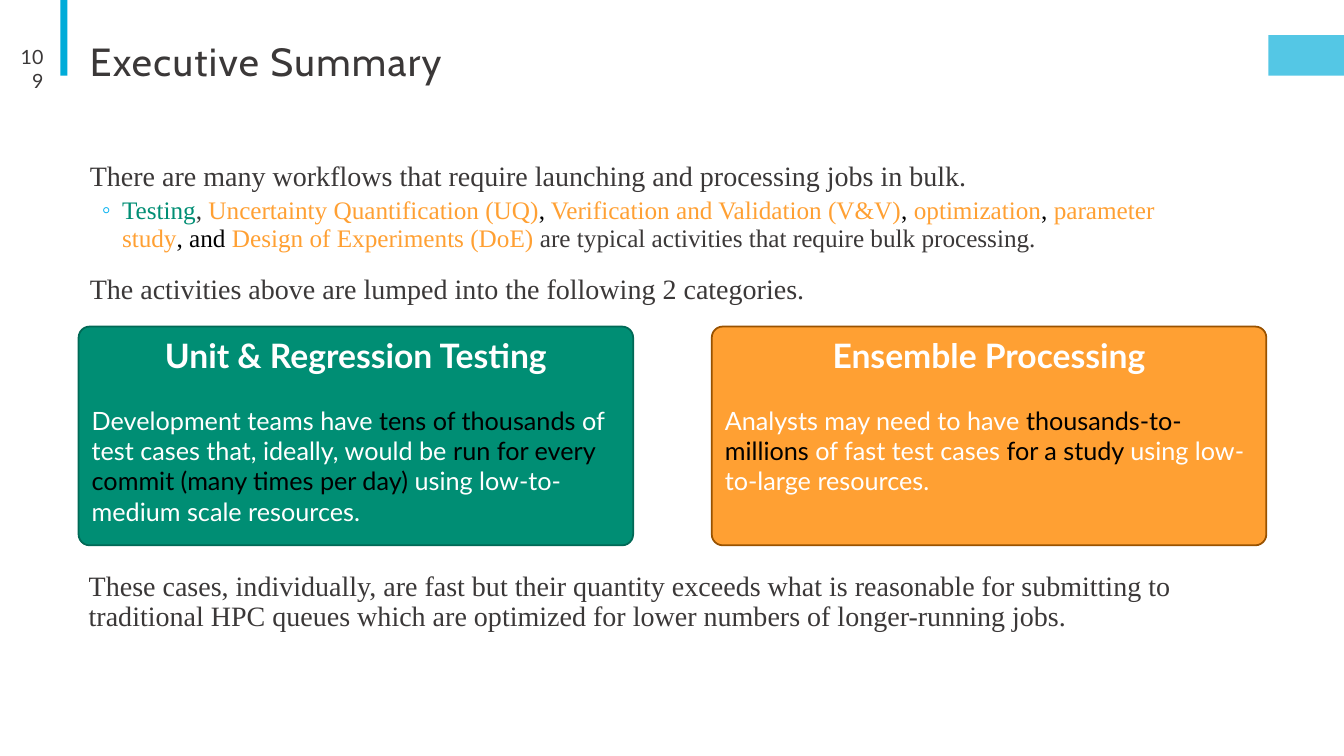
"""Build the Executive Summary slide."""
from lxml.etree import SubElement
from pptx import Presentation
from pptx.dml.color import RGBColor
from pptx.enum.shapes import MSO_SHAPE
from pptx.enum.text import MSO_ANCHOR, MSO_AUTO_SIZE, PP_ALIGN
from pptx.oxml.ns import qn
from pptx.util import Inches, Pt

BLACK = RGBColor(0x00, 0x00, 0x00)
WHITE = RGBColor(0xFF, 0xFF, 0xFF)
GREY = RGBColor(0x3B, 0x38, 0x38)
BLUE = RGBColor(0x00, 0xAC, 0xD9)
GREEN = RGBColor(0x00, 0x8E, 0x74)
DARK_GREEN = RGBColor(0x00, 0x69, 0x56)
ORANGE = RGBColor(0xFF, 0xA0, 0x33)
BROWN = RGBColor(0x99, 0x52, 0x00)
SERIF = "Times New Roman"


def add_text(tf, runs, size, font, first=False, bold=False, align=PP_ALIGN.LEFT,
             line=1.0, before=0, after=0, level=0, left=0, hang=0, bullet=None):
    p = tf.paragraphs[0] if first else tf.add_paragraph()
    p.level = level
    pPr = p._p.get_or_add_pPr()
    pPr.set("marL", str(Inches(left)))
    pPr.set("indent", str(-Inches(hang)))
    p.alignment, p.line_spacing = align, line
    p.space_before, p.space_after = Pt(before), Pt(after)
    if bullet:
        SubElement(SubElement(pPr, qn("a:buClr")), qn("a:srgbClr")).set("val", "00B0F0")
        SubElement(pPr, qn("a:buChar")).set("char", bullet)
    else:
        SubElement(pPr, qn("a:buNone"))
    for text, color in runs:
        r = p.add_run()
        r.text = text
        r.font.size, r.font.name, r.font.bold = Pt(size), font, bold
        r.font.color.rgb = color
    return p


def place(sp, left, top, width, height, inset=0.1, anchor=MSO_ANCHOR.TOP):
    sp.left, sp.top, sp.width, sp.height = map(Inches, (left, top, width, height))
    tf = sp.text_frame
    tf.word_wrap, tf.auto_size, tf.vertical_anchor = True, MSO_AUTO_SIZE.NONE, anchor
    tf.margin_left = tf.margin_right = Inches(inset)
    tf.margin_top = tf.margin_bottom = Inches(0.05)
    return tf


prs = Presentation()
prs.slide_width, prs.slide_height = Inches(13.33), Inches(7.5)
s = prs.slides.add_slide(prs.slide_layouts[1])

for left, top, width, height, alpha in [(0.6, 0, 0.07, 0.75, 100), (12.58, 0.35, 0.75, 0.4, 67)]:
    sp = s.shapes.add_shape(MSO_SHAPE.RECTANGLE, *map(Inches, (left, top, width, height)))
    sp.shadow.inherit = False
    sp.fill.solid()
    sp.fill.fore_color.rgb = BLUE
    sp.line.fill.background()
    color = sp._element.spPr.find(qn("a:solidFill")).find(qn("a:srgbClr"))
    SubElement(color, qn("a:alpha")).set("val", str(alpha * 1000))

tf = place(s.shapes.title, 0.79, 0.39, 11, 0.62)
p = add_text(tf, [("Executive Summary", GREY)], 28, "Cabin", first=True, line=0.85)
p.runs[0]._r.get_or_add_rPr().set("spc", "100")

tf = place(s.placeholders[1], 0.79, 1.56, 11, 1.68, inset=0)
add_text(tf, [("There are many workflows that require launching and processing jobs in bulk.", GREY)],
         20, SERIF, first=True, line=0.9, after=2, left=0.1)
activities = [
    ("Testing", GREEN), (", ", GREY),
    ("Uncertainty Quantification (UQ)", ORANGE), (",", BLACK),
    (" Verification and Validation (V&V)", ORANGE), (",", BLACK),
    (" optimization", ORANGE), (",", BLACK),
    (" parameter study", ORANGE), (", and", BLACK),
    (" Design of Experiments (DoE) ", ORANGE),
    ("are typical activities that require bulk processing.", GREY),
]
add_text(tf, activities, 18, SERIF, line=0.9, before=2, after=4,
         level=1, left=0.42, hang=0.2, bullet="◦")
add_text(tf, [("The activities above are lumped into the following 2 categories.", GREY)],
         20, SERIF, line=0.9, before=12, after=2, left=0.1)

tf = place(s.shapes.add_textbox(0, 0, 0, 0), 0.07, 0.48, 0.46, 0.4, anchor=MSO_ANCHOR.MIDDLE)
add_text(tf, [("109", GREY)], 14, "Lato", first=True, align=PP_ALIGN.RIGHT)

categories = [
    (0.78, GREEN, DARK_GREEN, "Unit & Regression Testing", [
        ("Development teams have ", WHITE), ("tens of thousands ", BLACK),
        ("of test cases that, ideally, would be ", WHITE),
        ("run for every commit (many times per day)", BLACK),
        (" using low-to-medium scale resources.", WHITE)]),
    (7.06, ORANGE, BROWN, "Ensemble Processing", [
        ("Analysts may need to have ", WHITE), ("thousands-to-millions", BLACK),
        (" of fast test cases ", WHITE), ("for a study ", BLACK),
        ("using low-to-large resources.", WHITE)]),
]
for left, fill, border, heading, runs in categories:
    sp = s.shapes.add_shape(MSO_SHAPE.ROUNDED_RECTANGLE, 0, 0, 0, 0)
    sp.adjustments[0] = 0.05
    sp.shadow.inherit = False
    sp.fill.solid()
    sp.fill.fore_color.rgb = fill
    sp.line.color.rgb, sp.line.width = border, Pt(1.25)
    tf = place(sp, left, 3.24, 5.5, 2.17)
    add_text(tf, [(heading, WHITE)], 24, "Lato", first=True, bold=True, align=PP_ALIGN.CENTER)
    add_text(tf, runs, 18, "Lato", before=21.6)

tf = place(s.shapes.add_textbox(0, 0, 0, 0), 0.78, 5.63, 11, 0.98, inset=0)
add_text(tf, [("These cases, individually, are fast but their quantity exceeds what is reasonable for "
               "submitting to traditional HPC queues which are optimized for lower numbers of "
               "longer-running jobs.", GREY)],
         20, SERIF, first=True, line=0.9, after=2, left=0.1)

prs.save("out.pptx")
